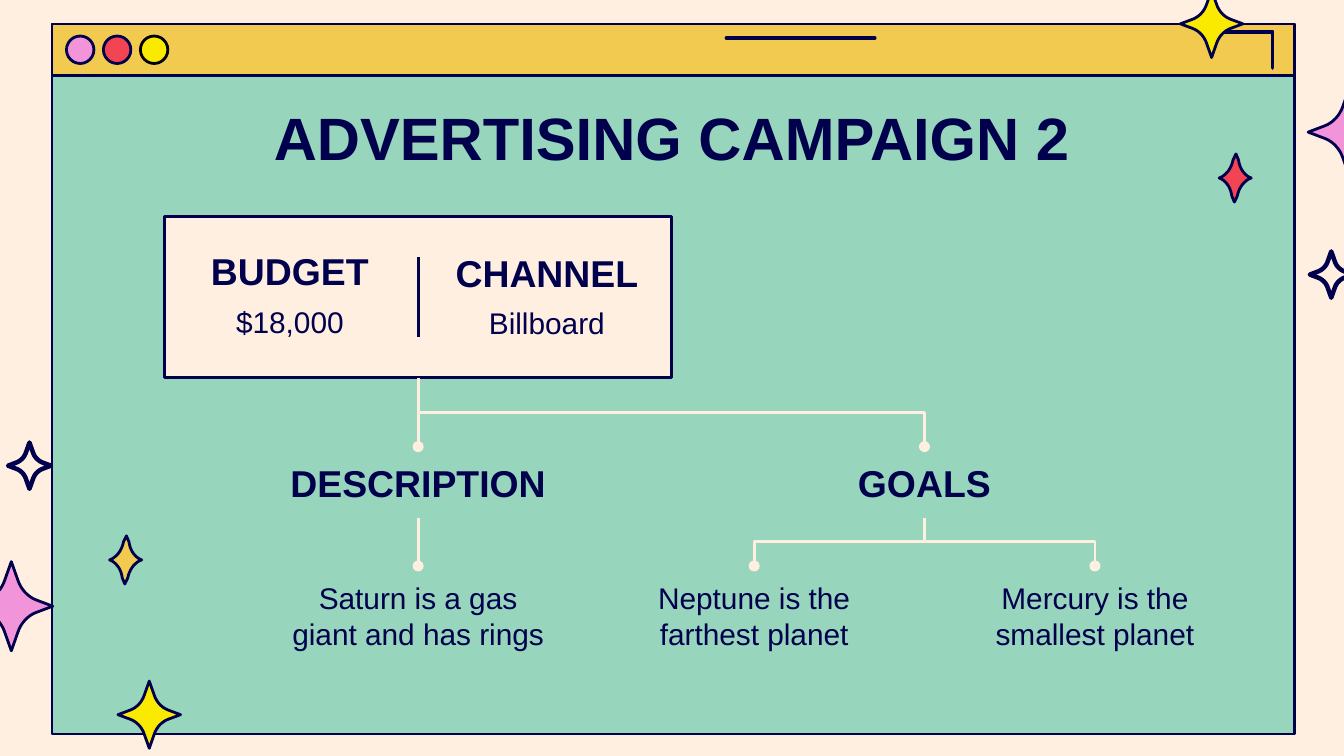
"""Build the advertising campaign slide: a browser window holding a small tree diagram."""
from dataclasses import dataclass

from lxml import etree
from pptx import Presentation
from pptx import util as u
from pptx.dml.color import RGBColor
from pptx.enum import shapes, text
from pptx.oxml import ns


@dataclass(frozen=True)
class Theme:
    navy: str = "00004D"
    cream: str = "FFEFE1"
    mint: str = "97D5BC"
    gold: str = "F3CA50"
    yellow: str = "FAEA00"
    pink: str = "F294D9"
    red: str = "F24452"
    black: str = "000000"
    font: str = "Arial"
    title: int = 32
    heading: int = 20
    body: int = 16
    stroke: float = 1.5
    bold_stroke: float = 2.4


THEME = Theme()
WIDE_ARM = ((0.16, -0.58), (0.23, -0.38), (0.4, -0.21), (0.6, -0.14))
SLIM_ARM = ((0.17, -0.75), (0.25, -0.42), (0.5, -0.19), (0.83, -0.05))


def points(*lengths):
    return [u.Pt(length) for length in lengths]


def set_line(line, color, width=THEME.stroke):
    line.color.rgb = RGBColor.from_string(color)
    line.width = u.Pt(width)


def paint(shape, fill, line=THEME.navy, width=THEME.stroke):
    shape.shadow.inherit = False
    if fill:
        shape.fill.solid()
        shape.fill.fore_color.rgb = RGBColor.from_string(fill)
    else:
        shape.fill.background()
    set_line(shape.line, line, width)


def round_ends(shape):
    shape.element.spPr.find(ns.qn("a:ln")).set("cap", "rnd")


def add_block(page, kind, frame, fill, line=THEME.navy):
    shape = page.shapes.add_shape(kind, *points(*frame))
    paint(shape, fill, line)
    return shape


def add_text(page, words, center, top, width, height, size, bold=False):
    box = page.shapes.add_textbox(*points(center - width / 2, top, width, height))
    frame = box.text_frame
    frame.word_wrap = True
    frame.vertical_anchor = text.MSO_ANCHOR.TOP
    frame.margin_left = frame.margin_right = u.Pt(7.2)
    frame.margin_top = frame.margin_bottom = u.Pt(7.2)
    frame.text = words
    para = frame.paragraphs[0]
    para.alignment = text.PP_ALIGN.CENTER
    for span in para.runs:
        span.font.name = THEME.font
        span.font.size = u.Pt(size)
        span.font.bold = bold
        span.font.color.rgb = RGBColor.from_string(THEME.navy)
    return box


def add_link(page, kind, ends, color=THEME.cream, width=THEME.stroke, dot=True):
    link = page.shapes.add_connector(kind, *points(*ends))
    set_line(link.line, color, width)
    if dot:
        line = link.element.spPr.find(ns.qn("a:ln"))
        etree.SubElement(line, ns.qn("a:tailEnd"), type="oval")
    etree.SubElement(link.element.spPr, ns.qn("a:effectLst"))
    return link


def add_drop(page, upper, lower):
    middle = upper.left.pt + upper.width.pt / 2
    ends = (middle, upper.top.pt + upper.height.pt, middle, lower.top.pt)
    link = add_link(page, shapes.MSO_CONNECTOR.STRAIGHT, ends)
    link.begin_connect(upper, 2)
    link.end_connect(lower, 0)


def add_branch(page, x1, y1, x2, y2):
    """Draw a down-across-down elbow as a quarter-turned connector."""
    middle_x, middle_y = (x1 + x2) / 2, (y1 + y2) / 2
    side = 1 if x2 > x1 else -1
    reach, half = abs(x2 - x1) / 2, side * (y2 - y1) / 2
    ends = (middle_x + half, middle_y - reach, middle_x - half, middle_y + reach)
    link = add_link(page, shapes.MSO_CONNECTOR.ELBOW, ends)
    quarter_turns = 3 if side > 0 else 1
    link.element.spPr.find(ns.qn("a:xfrm")).set("rot", str(quarter_turns * 5400000))


def add_outline(page, corners, close):
    start, *rest = [points(*corner) for corner in corners]
    builder = page.shapes.build_freeform(*start)
    builder.add_line_segments(rest, close=close)
    return builder.convert_to_shape()


def curve(nodes, steps=8):
    for step in range(steps + 1):
        t = step / steps
        weights = ((1 - t) ** 3, 3 * t * (1 - t) ** 2, 3 * t * t * (1 - t), t ** 3)
        yield tuple(sum(w * node[axis] for w, node in zip(weights, nodes)) for axis in (0, 1))


def add_star(page, center, size, fill, arm=WIDE_ARM, skew=0, width=THEME.stroke):
    quarter = [(0, -1), *curve(arm), (1, 0)]
    right = quarter + [(x, -y) for x, y in reversed(quarter[:-1])]
    unit = right + [(-x, -y) for x, y in right[1:-1]]
    corners = [(center[0] + size[0] / 2 * (x - skew * y), center[1] + size[1] / 2 * y)
               for x, y in unit]
    paint(add_outline(page, corners, True), fill, width=width)


def add_window(page):
    rectangle, oval = shapes.MSO_SHAPE.RECTANGLE, shapes.MSO_SHAPE.OVAL
    add_block(page, rectangle, (27.8, 12.9, 665.6, 380.4), THEME.mint)
    add_block(page, rectangle, (27.8, 12.9, 665.6, 27.4), THEME.gold)
    corner = add_outline(page, [(655, 17.1), (681.8, 17.1), (681.8, 36.5)], False)
    paint(corner, None, width=1.9)
    round_ends(corner)
    handle = add_link(page, shapes.MSO_CONNECTOR.STRAIGHT, (389.2, 20.4, 468.6, 20.4),
                      THEME.navy, 2, dot=False)
    round_ends(handle)
    buttons = ((THEME.pink, THEME.navy), (THEME.red, THEME.navy), (THEME.yellow, THEME.black))
    for index, (fill, line) in enumerate(buttons):
        add_block(page, oval, (35.6 + 19.8 * index, 19.3, 14.7, 14.7), fill, line)


def add_tree(page):
    card = add_block(page, shapes.MSO_SHAPE.RECTANGLE, (88, 116, 272, 86.4), THEME.cream)
    for heading, value, center, top in (("BUDGET", "$18,000", 155.3, 126),
                                        ("CHANNEL", "Billboard", 293, 126.6)):
        add_text(page, heading, center, top, 118, 38, THEME.heading, True)
        add_text(page, value, center, top + 29.6, 118, 36, THEME.body)
    add_link(page, shapes.MSO_CONNECTOR.STRAIGHT, (224, 137.7, 224, 180.5),
             THEME.navy, dot=False)

    description, goals = [
        add_text(page, words, center, 239.3, 156, 38, THEME.heading, True)
        for words, center in (("DESCRIPTION", 224), ("GOALS", 495.2))]
    saturn, *planets = [
        add_text(page, words, center, 303.2, 156, 53.5, THEME.body)
        for words, center in (("Saturn is a gas giant and has rings", 224),
                              ("Neptune is the farthest planet", 404),
                              ("Mercury is the smallest planet", 586.6))]

    add_drop(page, card, description)
    add_drop(page, description, saturn)
    for upper, lower in ((card, goals), *((goals, planet) for planet in planets)):
        add_branch(page, upper.left.pt + upper.width.pt / 2, upper.top.pt + upper.height.pt,
                   lower.left.pt + lower.width.pt / 2, lower.top.pt)


def add_stars(page):
    small, medium, large, slim = (23, 24.8), (33.5, 36), (44.4, 47.8), (17.2, 25.8)
    for center, fill in (((67.3, 300), THEME.gold), ((661.7, 95.4), THEME.red)):
        add_star(page, center, slim, fill, SLIM_ARM, 0.05)
    for center in ((15.8, 249.5), (713.2, 147.1)):
        add_star(page, center, small, None, width=THEME.bold_stroke)
    for center in ((80, 382.9), (649.1, 12.8)):
        add_star(page, center, medium, THEME.yellow)
    for center in ((6.1, 324.8), (723, 70.8)):
        add_star(page, center, large, THEME.pink)


def main():
    deck = Presentation()
    deck.slide_width, deck.slide_height = points(720, 405)
    page = deck.slides.add_slide(deck.slide_layouts[6])
    page.background.fill.solid()
    page.background.fill.fore_color.rgb = RGBColor.from_string(THEME.cream)
    add_window(page)
    add_text(page, "ADVERTISING CAMPAIGN 2", 360, 46.8, 609, 45.4, THEME.title, True)
    add_tree(page)
    add_stars(page)
    deck.save("out.pptx")


if __name__ == "__main__":
    main()
